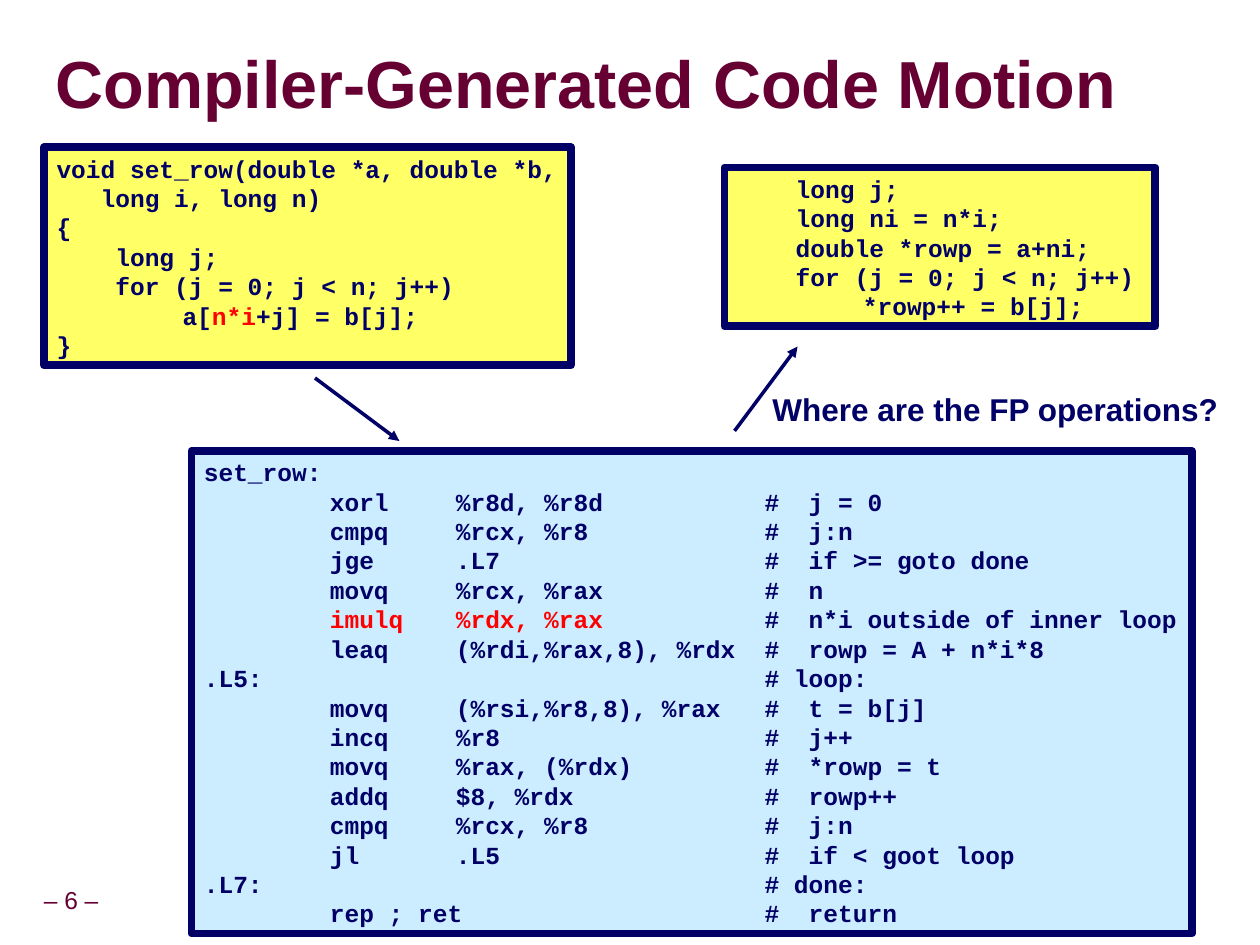
from dataclasses import dataclass

from lxml.etree import SubElement
from pptx import Presentation
from pptx.dml.color import RGBColor
from pptx.enum.shapes import MSO_CONNECTOR, MSO_SHAPE
from pptx.enum.text import MSO_ANCHOR, PP_ALIGN
from pptx.oxml import parse_xml
from pptx.oxml.ns import nsdecls, qn
from pptx.util import Inches, Pt


@dataclass(frozen=True)
class Theme:
    navy: RGBColor = RGBColor(0x00, 0x00, 0x66)
    maroon: RGBColor = RGBColor(0x66, 0x00, 0x33)
    red: RGBColor = RGBColor(0xFF, 0x00, 0x00)
    c_fill: RGBColor = RGBColor(0xFF, 0xFF, 0x66)
    asm_fill: RGBColor = RGBColor(0xCC, 0xEC, 0xFF)
    text_font: str = "Arial"
    code_font: str = "Courier New"
    title_size: int = 38
    question_size: int = 18
    small_size: int = 14
    border: float = 4.5
    arrow: float = 2


THEME = Theme()

SOURCE_CODE = """void set_row(double *a, double *b,
   long i, long n)
{
    long j;
    for (j = 0; j < n; j++)
\ta[n*i+j] = b[j];
}"""

MOVED_CODE = """    long j;
    long ni = n*i;
    double *rowp = a+ni;
    for (j = 0; j < n; j++)
\t*rowp++ = b[j];"""

ASSEMBLY = """set_row:
\txorl\t%r8d, %r8d\t#  j = 0
\tcmpq\t%rcx, %r8\t#  j:n
\tjge\t.L7\t#  if >= goto done
\tmovq\t%rcx, %rax\t#  n
\timulq\t%rdx, %rax\t#  n*i outside of inner loop
\tleaq\t(%rdi,%rax,8), %rdx\t#  rowp = A + n*i*8
.L5:\t\t\t# loop:
\tmovq\t(%rsi,%r8,8), %rax\t#  t = b[j]
\tincq\t%r8\t#  j++
\tmovq\t%rax, (%rdx)\t#  *rowp = t
\taddq\t$8, %rdx\t#  rowp++
\tcmpq\t%rcx, %r8\t#  j:n
\tjl\t.L5\t#  if < goot loop
.L7:\t\t\t# done:
\trep ; ret\t#  return"""


def style_font(font, name, size, color, bold):
    font.name = name
    font.size = Pt(size)
    font.bold = bold
    font.color.rgb = color


def add_tab_stops(paragraph, stops):
    tab_list = SubElement(paragraph._p.get_or_add_pPr(), qn("a:tabLst"))
    for stop in stops:
        SubElement(tab_list, qn("a:tab"), pos=str(Inches(stop)), algn="l")


def add_code_box(slide, box, code, fill, tabs, highlight=""):
    """Bordered listing; the highlighted fragment is drawn in red."""
    listing = slide.shapes.add_shape(MSO_SHAPE.RECTANGLE, *map(Inches, box))
    listing.shadow.inherit = False
    listing.fill.solid()
    listing.fill.fore_color.rgb = fill
    listing.line.color.rgb = THEME.navy
    listing.line.width = Pt(THEME.border)
    frame = listing.text_frame
    frame.word_wrap = False
    frame.vertical_anchor = MSO_ANCHOR.TOP
    for number, line in enumerate(code.split("\n")):
        paragraph = frame.add_paragraph() if number else frame.paragraphs[0]
        paragraph.alignment = PP_ALIGN.LEFT
        add_tab_stops(paragraph, tabs)
        style_font(paragraph.font, THEME.code_font, THEME.small_size, THEME.navy, True)
        parts = line.partition(highlight) if highlight else (line,)
        for part in filter(None, parts):
            run = paragraph.add_run()
            run.text = part
            # Runs carry the colour, since a shape's own style is white
            run.font.color.rgb = THEME.red if part == highlight else THEME.navy


def add_label(slide, box, text, size, color, bold=True, inset=0.05, spacing=0.9,
              align=PP_ALIGN.CENTER, anchor=MSO_ANCHOR.TOP, wrap=False):
    label = slide.shapes.add_textbox(*map(Inches, box))
    frame = label.text_frame
    frame.word_wrap = wrap
    frame.vertical_anchor = anchor
    frame.margin_left = frame.margin_right = Inches(inset)
    frame.margin_top = frame.margin_bottom = Inches(inset)
    paragraph = frame.paragraphs[0]
    paragraph.alignment = align
    paragraph.line_spacing = spacing
    paragraph.text = text
    style_font(paragraph.font, THEME.text_font, size, color, bold)
    return paragraph


def add_text_shadow(paragraph):
    run_properties = paragraph.runs[0]._r.get_or_add_rPr()
    run_properties.append(parse_xml(
        f'<a:effectLst {nsdecls("a")}>'
        '<a:outerShdw dist="50800" dir="2700000" algn="tl">'
        '<a:srgbClr val="969696"/></a:outerShdw></a:effectLst>'))


def add_arrow(slide, start, end):
    arrow = slide.shapes.add_connector(
        MSO_CONNECTOR.STRAIGHT, *map(Inches, start + end))
    arrow.line.color.rgb = THEME.navy
    arrow.line.width = Pt(THEME.arrow)
    SubElement(arrow.line._get_or_add_ln(), qn("a:tailEnd"), type="triangle")
    SubElement(arrow._element.spPr, qn("a:effectLst"))


def main():
    deck = Presentation()
    deck.slide_width, deck.slide_height = Inches(10), Inches(7.5)
    slide = deck.slides.add_slide(deck.slide_layouts[6])

    # Page number and title
    add_label(slide, (-0.09, 7, 1.31, 0.31), "– 6 –", THEME.small_size,
              THEME.maroon, bold=False, anchor=MSO_ANCHOR.MIDDLE)
    title = add_label(slide, (0.44, 0.27, 9.53, 0.85),
                      "Compiler-Generated Code Motion", THEME.title_size,
                      THEME.maroon, inset=0, spacing=0.87, align=PP_ALIGN.LEFT,
                      anchor=MSO_ANCHOR.MIDDLE, wrap=True)
    add_text_shadow(title)

    # Assembly, with columns for opcode, operands and comment
    add_code_box(slide, (1.52, 3.58, 7.94, 3.83), ASSEMBLY, THEME.asm_fill,
                 (1, 2, 4.45), highlight="imulq\t%rdx, %rax")

    # From C source to assembly, and back to equivalent C
    add_arrow(slide, (2.5, 3), (3.17, 3.5))
    add_arrow(slide, (5.83, 3.42), (6.33, 2.75))

    # C before and after code motion
    add_code_box(slide, (5.75, 1.33, 3.42, 1.26), MOVED_CODE, THEME.c_fill, (1,))
    add_code_box(slide, (0.35, 1.17, 4.18, 1.73), SOURCE_CODE, THEME.c_fill, (1,),
                 highlight="n*i")

    # Question to the audience
    add_label(slide, (6.08, 3.08, 3.64, 0.37), "Where are the FP operations?",
              THEME.question_size, THEME.navy)

    deck.save("out.pptx")


if __name__ == "__main__":
    main()
